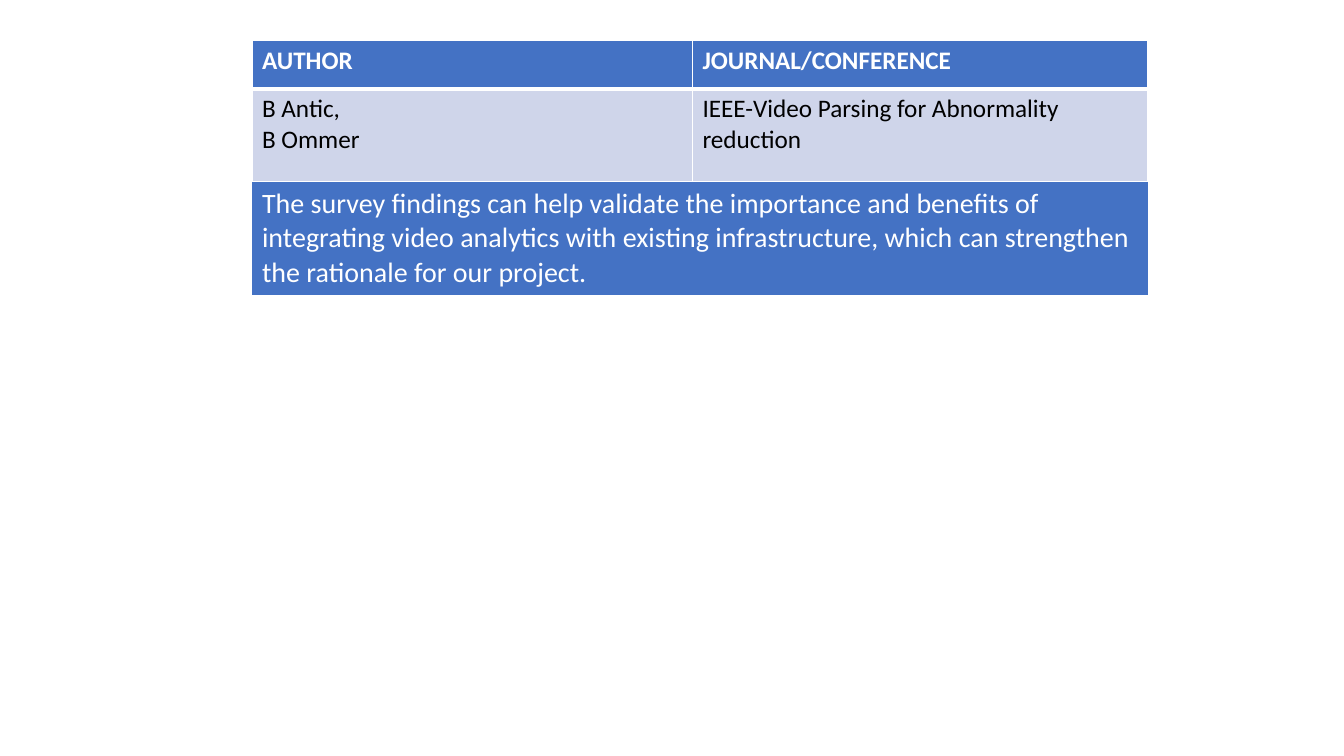
from lxml.etree import SubElement
from pptx import Presentation
from pptx.dml.color import RGBColor
from pptx.oxml.ns import qn
from pptx.util import Cm, Pt

BLUE = RGBColor(0x44, 0x72, 0xC4)
PALE_BLUE = RGBColor(0xCF, 0xD5, 0xEA)
WHITE = RGBColor(0xFF, 0xFF, 0xFF)
BLACK = RGBColor(0x00, 0x00, 0x00)

LEFT = Cm(6.35)
COLUMN_WIDTHS = [Cm(11.1), Cm(11.48)]
ROW_HEIGHTS = [Cm(1.22), Cm(2.34)]
TABLE_TOP = Cm(1.02)
FINDING_HEIGHT = Cm(2.84)

HEADINGS = ["AUTHOR", "JOURNAL/CONFERENCE"]
PAPER = ["B Antic,\nB Ommer", "IEEE-Video Parsing for Abnormality reduction"]
FINDING = (
    "The survey findings can help validate the importance and benefits of "
    "integrating video analytics with existing infrastructure, which can "
    "strengthen the rationale for our project."
)


def write_text(text_frame, text, size=18, color=BLACK, bold=False):
    """Write one paragraph per line of text in the given format."""
    text_frame.text = text
    for paragraph in text_frame.paragraphs:
        for run in paragraph.runs:
            run.font.name = "Calibri"
            run.font.size = Pt(size)
            run.font.bold = bold
            run.font.color.rgb = color


def set_borders(cell, left=0, right=0, top=0, bottom=0):
    """Draw white cell borders of the given point widths, none where zero."""
    properties = cell._tc.get_or_add_tcPr()
    for side, width in zip("LRTB", (left, right, top, bottom)):
        line = SubElement(properties, qn(f"a:ln{side}"), w=str(Pt(width)))
        if width:
            fill = SubElement(line, qn("a:solidFill"))
            SubElement(fill, qn("a:srgbClr"), val=str(WHITE))
        else:
            SubElement(line, qn("a:noFill"))


def add_plain_table(slide, top, widths, heights):
    """Add a table without banding and return it."""
    frame = slide.shapes.add_table(
        len(heights), len(widths), LEFT, top, sum(widths), sum(heights)
    )
    table = frame.table
    table.first_row = False
    table.horz_banding = False
    for column, width in zip(table.columns, widths):
        column.width = width
    for row, height in zip(table.rows, heights):
        row.height = height
    return table


def fill_row(row, texts, fill, borders, **text_format):
    """Fill the cells of a row with text, colour and borders."""
    for cell, text in zip(row.cells, texts):
        write_text(cell.text_frame, text, **text_format)
        set_borders(cell, **borders)
        cell.fill.solid()
        cell.fill.fore_color.rgb = fill


def main():
    """Build the literature survey slide and save it."""
    presentation = Presentation()
    presentation.slide_width = Cm(33.87)
    presentation.slide_height = Cm(19.05)
    slide = presentation.slides.add_slide(presentation.slide_layouts[6])

    survey = add_plain_table(slide, TABLE_TOP, COLUMN_WIDTHS, ROW_HEIGHTS)
    fill_row(survey.rows[0], HEADINGS, BLUE,
             dict(left=1, right=1, top=1, bottom=3), color=WHITE, bold=True)
    fill_row(survey.rows[1], PAPER, PALE_BLUE,
             dict(left=1, right=1, top=3, bottom=1))

    finding = add_plain_table(slide, TABLE_TOP + sum(ROW_HEIGHTS),
                              [sum(COLUMN_WIDTHS)], [FINDING_HEIGHT])
    fill_row(finding.rows[0], [FINDING], BLUE, {}, size=20, color=WHITE)

    presentation.save("out.pptx")


if __name__ == "__main__":
    main()
